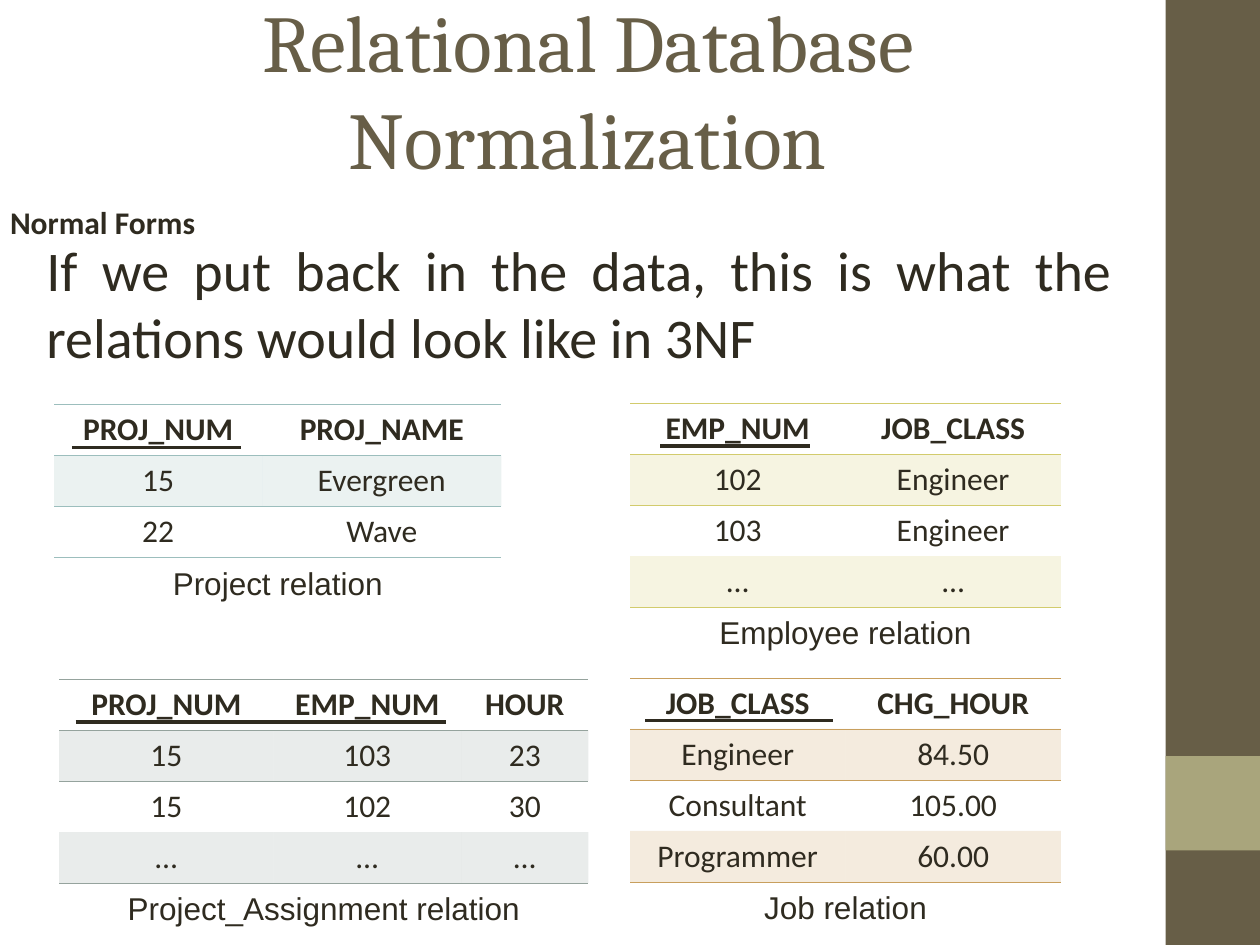
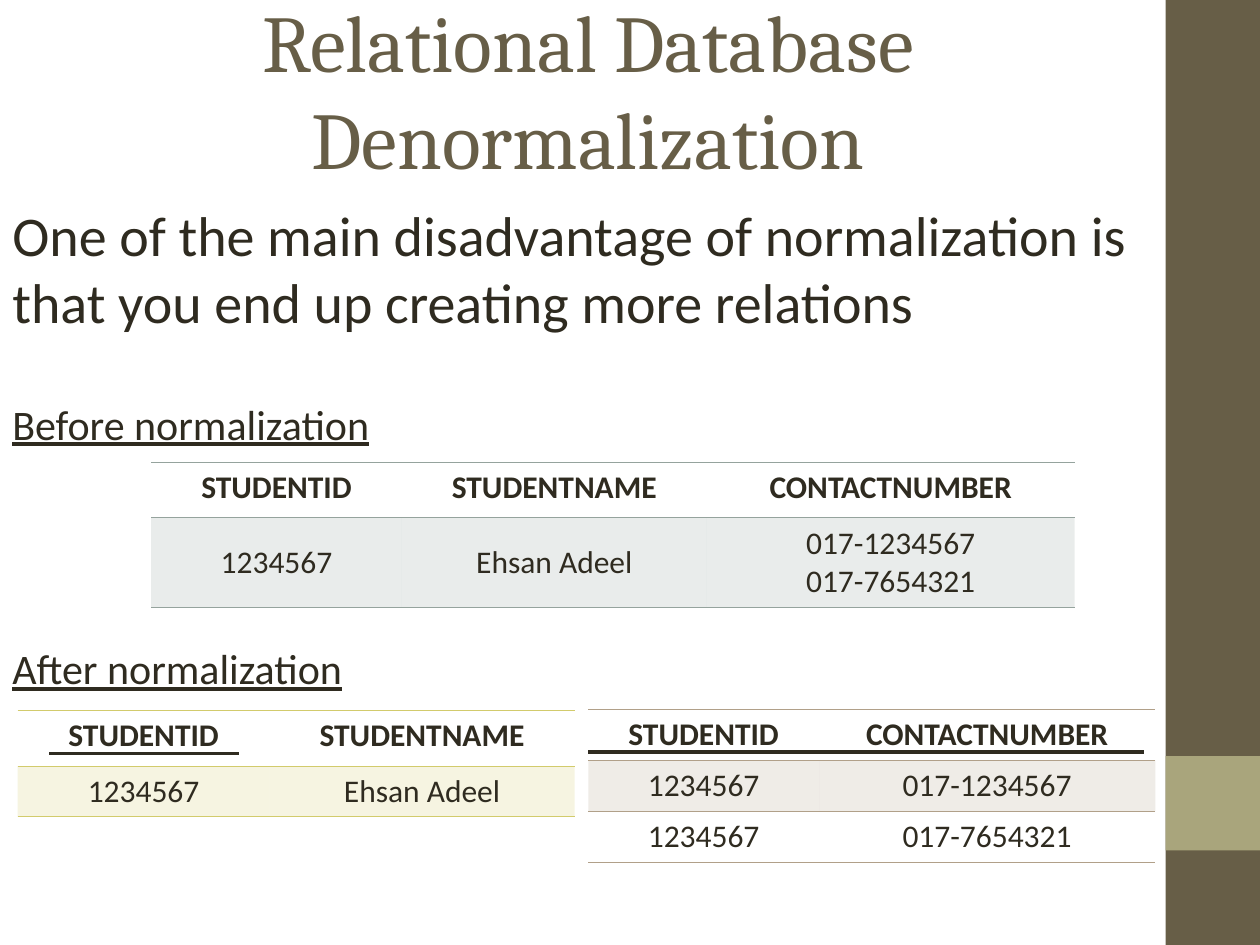
from lxml.etree import SubElement
from pptx import Presentation
from pptx.dml.color import RGBColor
from pptx.enum.shapes import MSO_CONNECTOR, MSO_SHAPE
from pptx.enum.text import MSO_ANCHOR, MSO_AUTO_SIZE, PP_ALIGN
from pptx.oxml.ns import qn
from pptx.util import Inches, Pt

BROWN = RGBColor(0x67, 0x5E, 0x47)
OLIVE = RGBColor(0xA9, 0xA5, 0x7C)
INK = RGBColor(0x2F, 0x2B, 0x20)
TEAL = RGBColor(0x9C, 0xBE, 0xBD)
YELLOW = RGBColor(0xD2, 0xCB, 0x6C)
GREY = RGBColor(0x95, 0xA3, 0x9D)
ORANGE = RGBColor(0xC8, 0x9F, 0x5D)
TAUPE = RGBColor(0xB1, 0xA0, 0x89)

TITLE_FONT, BODY_FONT, CAPTION_FONT = "Cambria", "Calibri", "Arial"
NO_GRID_STYLE = "{2D5ABB26-0587-4C30-8999-92F81FD0307C}"
TITLE_ONLY = 5
KEY_DROP = 0.34  # from the top of a table to the line under its key


class Deck:
    def __init__(self):
        self.prs = Presentation()
        self.prs.slide_width, self.prs.slide_height = Inches(10), Inches(7.5)
        self.slide = None

    def add_slide(self, heading):
        self.slide = self.prs.slides.add_slide(self.prs.slide_layouts[TITLE_ONLY])
        self.band(0, 7.5, BROWN)
        self.band(6, 0.75, OLIVE)
        title = self.slide.shapes.title
        title.left, title.top = Inches(0.5), Inches(0.08)
        title.width, title.height = Inches(8.33), Inches(1.25)
        frame = title.text_frame
        frame.auto_size = MSO_AUTO_SIZE.NONE
        frame.vertical_anchor = MSO_ANCHOR.MIDDLE
        self.add_words(frame.paragraphs[0], heading, 46, TITLE_FONT, BROWN,
                       align=PP_ALIGN.CENTER)

    def band(self, top, height, colour):
        """Block of the strip down the right edge."""
        block = self.slide.shapes.add_shape(
            MSO_SHAPE.RECTANGLE, Inches(9.25), Inches(top), Inches(0.75), Inches(height))
        block.shadow.inherit = False
        block.fill.solid()
        block.fill.fore_color.rgb = colour
        block.line.fill.background()

    def add_words(self, paragraph, words, size, font=BODY_FONT, colour=INK,
                  bold=False, underline=False, align=PP_ALIGN.LEFT):
        paragraph.alignment = align
        run = paragraph.add_run()
        run.text = words
        run.font.size, run.font.name = Pt(size), font
        run.font.color.rgb = colour
        run.font.bold, run.font.underline = bold, underline

    def text(self, left, top, width, height, words, size, **style):
        box = self.slide.shapes.add_textbox(
            Inches(left), Inches(top), Inches(width), Inches(height))
        frame = box.text_frame
        frame.word_wrap = True
        self.add_words(frame.paragraphs[0], words, size, **style)
        return frame

    def key_line(self, start, end, y):
        line = self.slide.shapes.add_connector(
            MSO_CONNECTOR.STRAIGHT, Inches(start), Inches(y), Inches(end), Inches(y))
        line.line.color.rgb = INK
        line.line.width = Pt(2)
        SubElement(line._element.spPr, qn("a:effectLst"))

    def border(self, cell, side, colour):
        edge = SubElement(cell._tc.get_or_add_tcPr(), qn(f"a:{side}"), w=str(Pt(0.45)))
        fill = SubElement(edge, qn("a:solidFill"))
        SubElement(fill, qn("a:srgbClr"), val=str(colour))

    def tint(self, cell, colour):
        """Fill the cell with the colour at 20 % opacity."""
        cell.fill.solid()
        cell.fill.fore_color.rgb = colour
        shade = cell._tc.tcPr.find(qn("a:solidFill"))[0]
        SubElement(shade, qn("a:alpha"), val="20000")

    def relation(self, left, top, widths, rows, colour, key=None, caption=None,
                 heights=None):
        """Ruled table with tinted odd rows, a line under its key and a caption."""
        heights = heights or [0.405] * len(rows)
        width, height = sum(widths), sum(heights)
        table = self.slide.shapes.add_table(
            len(rows), len(widths), Inches(left), Inches(top),
            Inches(width), Inches(height)).table
        table._tbl.tblPr[0].text = NO_GRID_STYLE
        table.horz_banding = False
        for column, size in zip(table.columns, widths):
            column.width = Inches(size)
        for r, values in enumerate(rows):
            table.rows[r].height = Inches(heights[r])
            for c, value in enumerate(values):
                self.fill_cell(table.cell(r, c), value, r, len(rows) - 1, colour)
        if key:
            self.key_line(*key, top + KEY_DROP)
        if caption:
            self.text(left, top + height, width, 0.4, caption, 18,
                      font=CAPTION_FONT, align=PP_ALIGN.CENTER)

    def fill_cell(self, cell, value, row, last_row, colour):
        frame = cell.text_frame
        for i, line in enumerate(value.split("\n")):
            paragraph = frame.add_paragraph() if i else frame.paragraphs[0]
            self.add_words(paragraph, line, 18, bold=row == 0, align=PP_ALIGN.CENTER)
        cell.vertical_anchor = MSO_ANCHOR.MIDDLE if row else MSO_ANCHOR.TOP
        if row <= 1:
            self.border(cell, "lnT", colour)
        if row in (0, last_row):
            self.border(cell, "lnB", colour)
        if row % 2:
            self.tint(cell, colour)
        else:
            cell.fill.background()


def normalization(deck):
    deck.add_slide("Relational Database Normalization")
    section = deck.text(0, 1.66, 8.94, 0.35, "Normal Forms", 18, bold=True)
    section.margin_left = section.margin_right = Inches(0.08)
    section.margin_top = section.margin_bottom = 0
    section.paragraphs[0].line_spacing = Pt(18)
    deck.text(0.27, 1.82, 8.66, 1.18,
              "If we put back in the data, this is what the relations would look like in 3NF",
              32, align=PP_ALIGN.JUSTIFY)

    deck.relation(0.43, 3.21, [1.65, 1.9],
                  [("PROJ_NUM", "PROJ_NAME"), ("15", "Evergreen"), ("22", "Wave")],
                  TEAL, (0.57, 1.91), "Project relation")
    deck.relation(5, 3.2, [1.71, 1.71],
                  [("EMP_NUM", "JOB_CLASS"), ("102", "Engineer"),
                   ("103", "Engineer"), ("…", "…")],
                  YELLOW, (5.24, 6.43), "Employee relation")
    deck.relation(0.47, 5.39, [1.7, 1.49, 1.01],
                  [("PROJ_NUM", "EMP_NUM", "HOUR"), ("15", "103", "23"),
                   ("15", "102", "30"), ("…", "…", "…")],
                  GREY, (0.6, 3.54), "Project_Assignment relation")
    deck.relation(5, 5.38, [1.71, 1.71],
                  [("JOB_CLASS", "CHG_HOUR"), ("Engineer", "84.50"),
                   ("Consultant", "105.00"), ("Programmer", "60.00")],
                  ORANGE, (5.12, 6.61), "Job relation")


def denormalization(deck):
    deck.add_slide("Relational Database Denormalization")
    deck.text(0, 1.54, 9.73, 1.18,
              "One of the main disadvantage of normalization is "
              "that you end up creating more relations", 32)
    for top, stage in ((3.11, "Before normalization"), (5.05, "After normalization")):
        deck.text(0, top, 9.2, 0.5, stage, 24, underline=True)

    student, name = "1234567", "Ehsan Adeel"
    phones = ("017-1234567", "017-7654321")
    deck.relation(1.2, 3.67, [1.99, 2.42, 2.92],
                  [("STUDENTID", "STUDENTNAME", "CONTACTNUMBER"),
                   (student, name, "\n".join(phones))],
                  GREY, heights=[0.44, 0.71])
    deck.relation(0.14, 5.64, [2, 2.42],
                  [("STUDENTID", "STUDENTNAME"), (student, name)],
                  YELLOW, (0.39, 1.9), heights=[0.44, 0.4])
    deck.relation(4.67, 5.63, [1.83, 2.67],
                  [("STUDENTID", "CONTACTNUMBER")] + [(student, phone) for phone in phones],
                  TAUPE, (4.67, 9.08))


def main():
    deck = Deck()
    normalization(deck)
    denormalization(deck)
    deck.prs.save("out.pptx")


if __name__ == "__main__":
    main()
